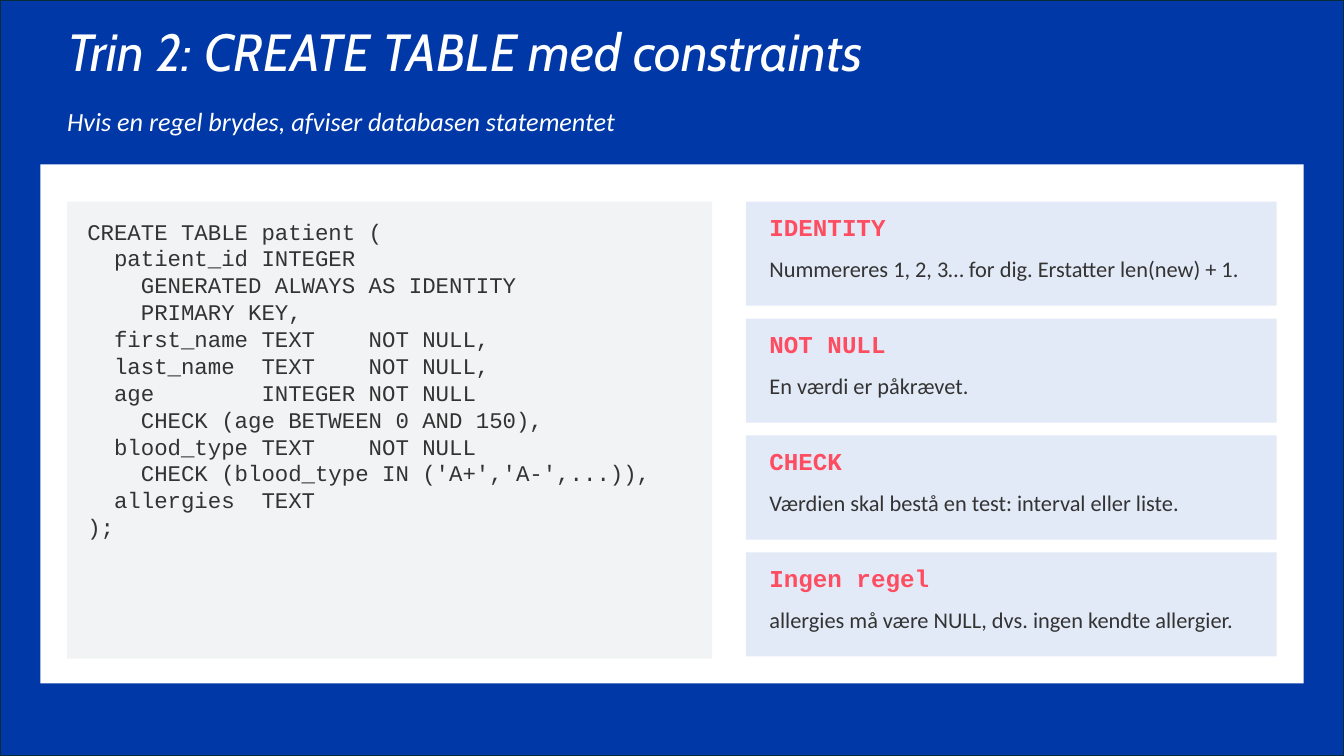
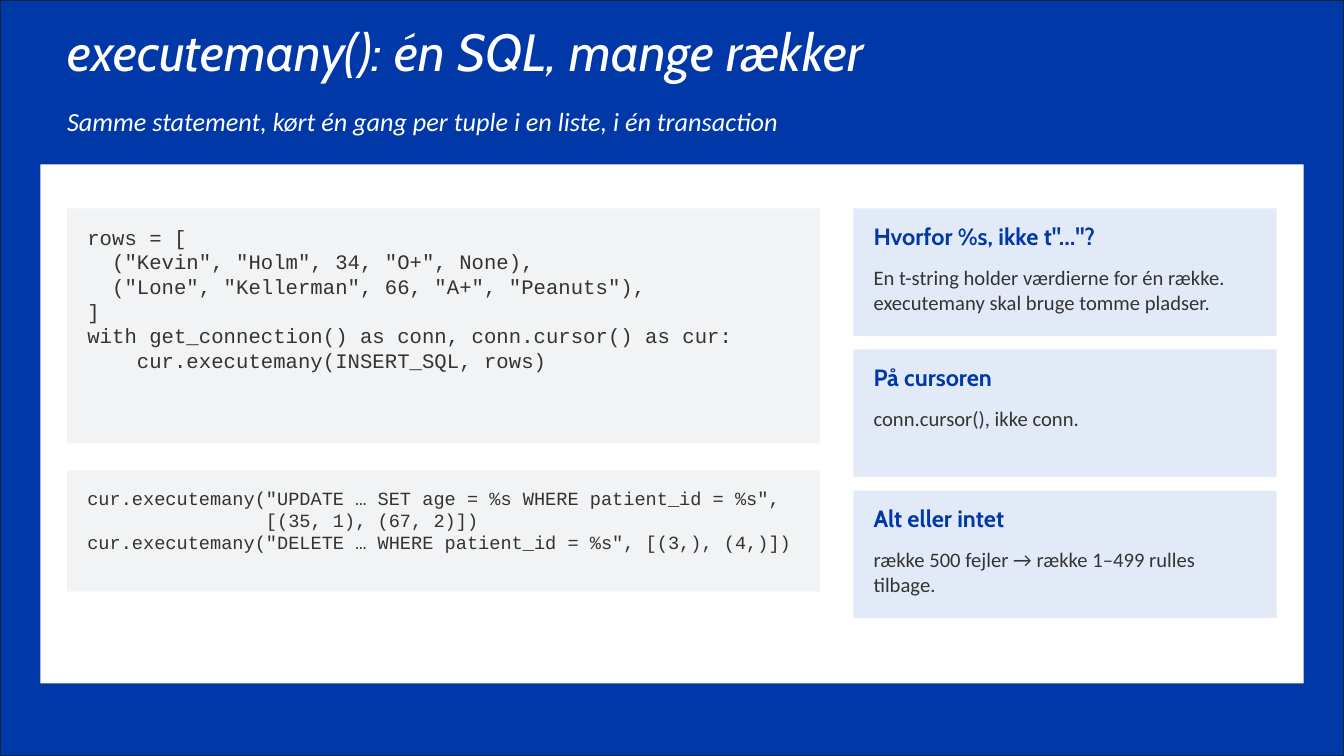
from pptx import Presentation
from pptx.dml.color import RGBColor
from pptx.enum import shapes
from pptx.util import Pt

HUE = {"blue": "0038A8", "edge": "092A39", "white": "FFFFFF", "code": "F2F3F4",
       "card": "E3EAF7", "ink": "333333", "red": "FE4C61"}
HEAD, BODY, MONO = "Cabin", "Calibri", "Courier New"
WIDE, HIGH = 960, 540
LEFT, PAD = 48, 14.4


def box(page, x, y, w, h, fill, edge=None):
    rect = page.shapes.add_shape(shapes.MSO_SHAPE.RECTANGLE, Pt(x), Pt(y), Pt(w), Pt(h))
    rect.shadow.inherit = False
    rect.fill.solid()
    rect.fill.fore_color.rgb = RGBColor.from_string(HUE[fill])
    if edge:
        rect.line.color.rgb = RGBColor.from_string(HUE[edge])
        rect.line.width = Pt(1.5)
    else:
        rect.line.fill.background()


def write(page, x, y, w, h, words, face, size, hue, bold=False, slant=False, pitch=None):
    frame = page.shapes.add_textbox(Pt(x), Pt(y), Pt(w), Pt(h)).text_frame
    frame.word_wrap = True
    frame.margin_left = frame.margin_right = frame.margin_top = frame.margin_bottom = 0
    frame.text = words
    for para in frame.paragraphs:
        para.line_spacing = pitch
        for run in para.runs:
            font = run.font
            font.name, font.size, font.bold, font.italic = face, Pt(size), bold, slant
            font.color.rgb = RGBColor.from_string(HUE[hue])


# Code samples
TABLE = """CREATE TABLE patient (
  patient_id INTEGER
    GENERATED ALWAYS AS IDENTITY
    PRIMARY KEY,
  first_name TEXT    NOT NULL,
  last_name  TEXT    NOT NULL,
  age        INTEGER NOT NULL
    CHECK (age BETWEEN 0 AND 150),
  blood_type TEXT    NOT NULL
    CHECK (blood_type IN ('A+','A-',...)),
  allergies  TEXT
);"""

ROWS = """rows = [
  ("Kevin", "Holm", 34, "O+", None),
  ("Lone", "Kellerman", 66, "A+", "Peanuts"),
]
with get_connection() as conn, conn.cursor() as cur:
    cur.executemany(INSERT_SQL, rows)"""

EDITS = """cur.executemany("UPDATE … SET age = %s WHERE patient_id = %s",
                [(35, 1), (67, 2)])
cur.executemany("DELETE … WHERE patient_id = %s", [(3,), (4,)])"""

# Slide content: code panels are (top, height, size, code), cards are (head, body)
SLIDES = [
    {"title": "Trin 2: CREATE TABLE med constraints",
     "sub": "Hvis en regel brydes, afviser databasen statementet",
     "width": 460.8,
     "panels": [(144, 326.4, 16, TABLE)],
     "card": {"x": 532.8, "y": 144, "w": 379.2, "h": 74.4, "gap": 9.1, "pad": 16.8,
              "head": 7.9, "body": 38.2, "size": 16, "font": (MONO, 17.3, "red")},
     "cards": [
         ("IDENTITY", "Nummereres 1, 2, 3… for dig. Erstatter len(new) + 1."),
         ("NOT NULL", "En værdi er påkrævet."),
         ("CHECK", "Værdien skal bestå en test: interval eller liste."),
         ("Ingen regel", "allergies må være NULL, dvs. ingen kendte allergier."),
     ]},
    {"title": "executemany(): én SQL, mange rækker",
     "sub": "Samme statement, kørt én gang per tuple i en liste, i én transaction",
     "width": 537.6,
     "panels": [(148.8, 168, 14.7, ROWS), (336, 86.4, 13.3, EDITS)],
     "card": {"x": 609.6, "y": 148.8, "w": 302.4, "h": 91.2, "gap": 9.6, "pad": PAD,
              "head": 9.6, "body": 40.3, "size": 14.7, "font": (HEAD, 16.8, "blue")},
     "cards": [
         ("Hvorfor %s, ikke t\"…\"?",
          "En t-string holder værdierne for én række. executemany skal bruge tomme pladser."),
         ("På cursoren", "conn.cursor(), ikke conn."),
         ("Alt eller intet", "række 500 fejler → række 1–499 rulles tilbage."),
     ]},
]

deck = Presentation()
deck.slide_width, deck.slide_height = Pt(WIDE), Pt(HIGH)

for item in SLIDES:
    page = deck.slides.add_slide(deck.slide_layouts[6])

    # Blue frame, title, white sheet and subtitle
    box(page, 0, 0, WIDE, HIGH, "blue", "edge")
    write(page, LEFT, 19.2, WIDE - 2 * LEFT, 52.8, item["title"], HEAD, 37.3, "white",
          slant=True, pitch=0.9)
    box(page, 28.8, 117.4, WIDE - 2 * 28.8, 370.8, "white")
    write(page, LEFT, 75, WIDE - 2 * LEFT, 33.6, item["sub"], BODY, 18.7, "white", slant=True)

    # Code panels
    for top, high, size, code in item["panels"]:
        box(page, LEFT, top, item["width"], high, "code")
        write(page, LEFT + PAD, top + 11.5, item["width"] - 2 * PAD, high - 19.2,
              code, MONO, size, "ink")

    # Cards
    card = item["card"]
    x, w = card["x"] + card["pad"], card["w"] - 2 * PAD
    for i, (head, body) in enumerate(item["cards"]):
        y = card["y"] + i * (card["h"] + card["gap"])
        box(page, card["x"], y, card["w"], card["h"], "card")
        write(page, x, y + card["head"], w, 28.8, head, *card["font"], bold=True)
        write(page, x, y + card["body"], w, card["h"] - card["body"] - 6, body,
              BODY, card["size"], "ink")

deck.save("out.pptx")
